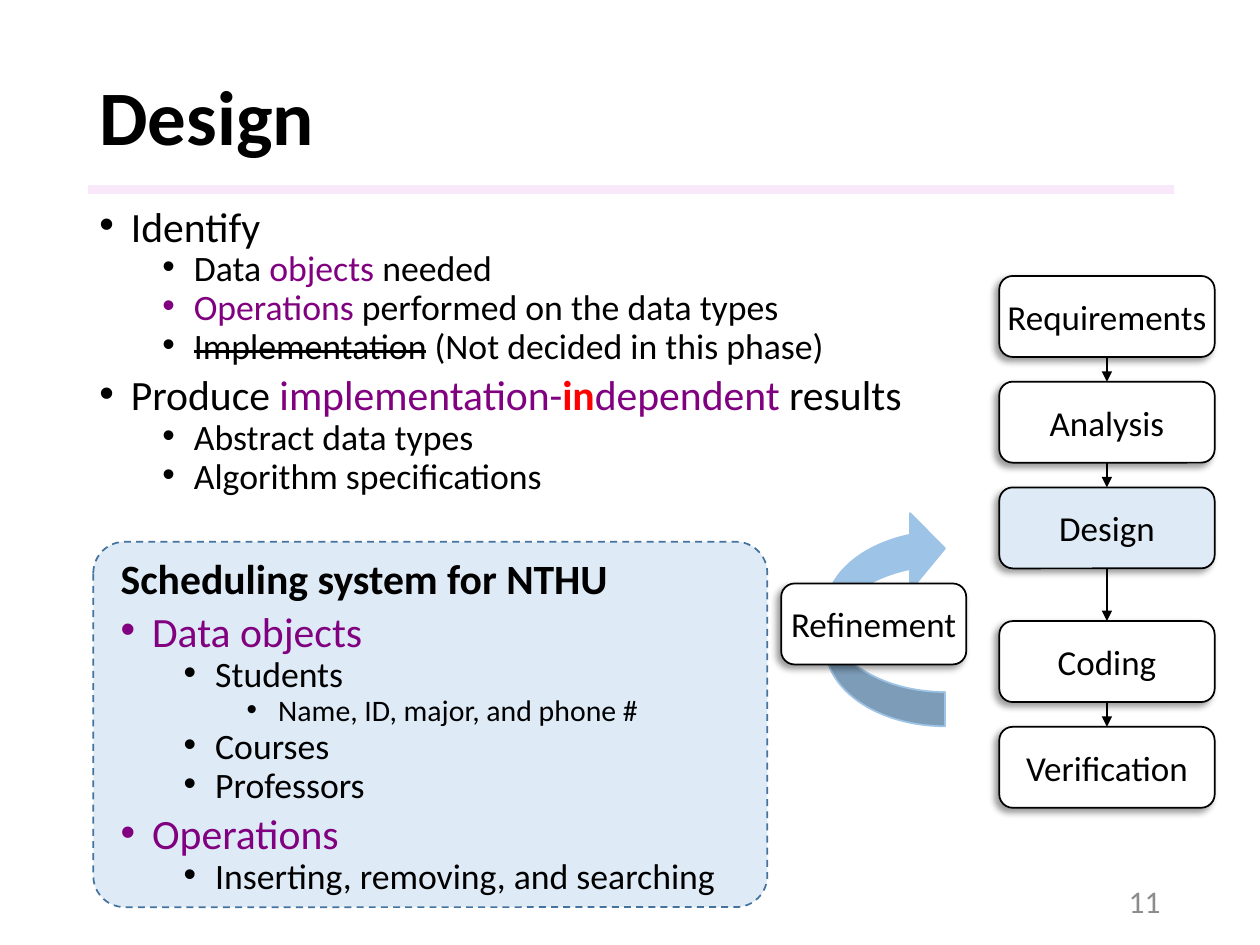
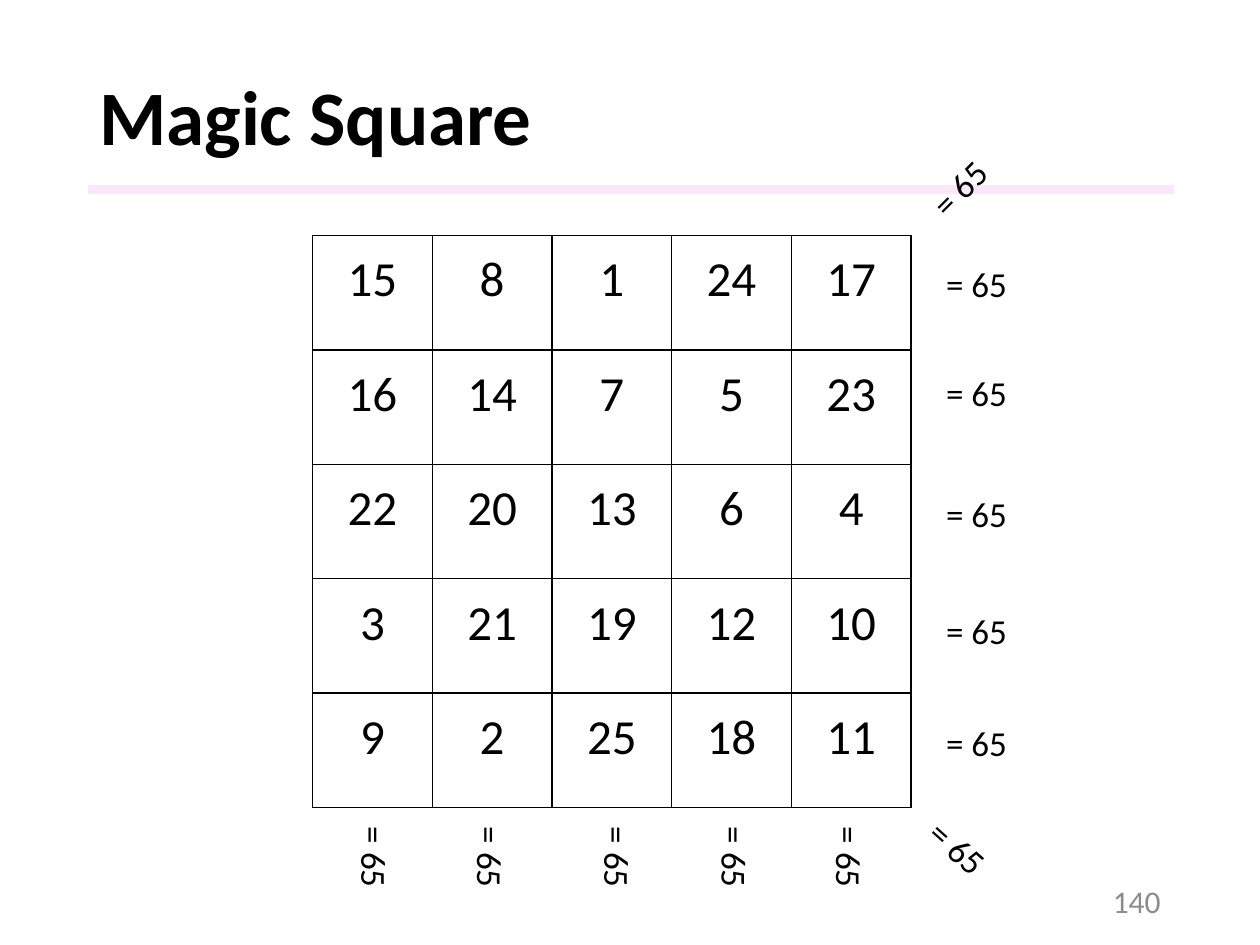
from dataclasses import dataclass

from lxml import etree
from pptx import Presentation
from pptx.dml.color import RGBColor
from pptx.enum.dml import MSO_LINE
from pptx.enum.shapes import MSO_CONNECTOR, MSO_SHAPE
from pptx.enum.text import MSO_ANCHOR, MSO_AUTO_SIZE, PP_ALIGN
from pptx.oxml.ns import qn
from pptx.util import Pt

RECTANGLE = MSO_SHAPE.RECTANGLE
ROUNDED = MSO_SHAPE.ROUNDED_RECTANGLE
CURVED_ARROW = MSO_SHAPE.CURVED_LEFT_ARROW
STRAIGHT = MSO_CONNECTOR.STRAIGHT
DASH = MSO_LINE.DASH
MIDDLE, TOP = MSO_ANCHOR.MIDDLE, MSO_ANCHOR.TOP
GROW = MSO_AUTO_SIZE.SHAPE_TO_FIT_TEXT
LEFT, CENTER, RIGHT = PP_ALIGN.LEFT, PP_ALIGN.CENTER, PP_ALIGN.RIGHT
BOTTOM_SIDE, TOP_SIDE = 2, 0


@dataclass(frozen=True)
class Theme:
    font: str = "Calibri"
    ink: str = "000000"
    accent: str = "800080"
    alert: str = "FF0000"
    muted: str = "8C8C8C"
    paper: str = "FFFFFF"
    band: str = "F3D2F4"
    panel: str = "DEEBF7"
    panel_edge: str = "43739E"
    arrow: str = "9DC3E6"
    title_size: float = 44
    number_size: float = 18
    label_size: float = 20
    cell_size: float = 28
    outline_sizes: tuple = (23.8, 20.4, 17)
    outline_gaps: tuple = (10, 5, 5)


THEME = Theme()
SPAN_STYLES = {
    "plain": {},
    "bold": {"bold": True},
    "accent": {"color": THEME.accent},
    "alert": {"color": THEME.alert, "bold": True},
    "struck": {"strike": True},
}

# Each paragraph: outline level (None for a heading without bullet), then spans.
DESIGN_STEPS = [
    (0, "Identify"),
    (1, "Data ", ("objects ", "accent"), "needed"),
    (1, ("Operations", "accent"), " performed on the data types"),
    (1, ("Implementation", "struck"), " (Not decided in this phase)"),
    (0, "Produce ", ("implementation-", "accent"), ("in", "alert"),
     ("dependent", "accent"), " results"),
    (1, "Abstract data types"),
    (1, "Algorithm specifications"),
]
SCHEDULING_EXAMPLE = [
    (None, ("Scheduling system for NTHU", "bold")),
    (0, ("Data objects", "accent")),
    (1, "Students"),
    (2, "Name, ID, major, and phone #"),
    (1, "Courses"),
    (1, "Professors"),
    (0, ("Operations", "accent")),
    (1, "Inserting, removing, and searching"),
]
PHASES = ["Requirements", "Analysis", "Design", "Coding", "Verification"]
MAGIC_SQUARE = [
    [15, 8, 1, 24, 17],
    [16, 14, 7, 5, 23],
    [22, 20, 13, 6, 4],
    [3, 21, 19, 12, 10],
    [9, 2, 25, 18, 11],
]
MAGIC_SUM = "= 65"
ROW_SUM_TOPS = [146.2, 208.8, 277.9, 344.9, 409]
COLUMN_SUM_LEFTS = [189.4, 255.6, 328.3, 395.3, 460.8]
DIAGONAL_SUMS = [(522.7, 468.7, 41.9), (523.4, 91.4, 315)]


def points(*lengths):
    return [Pt(length) for length in lengths]


def add_element(parent, tag, **attributes):
    return etree.SubElement(parent, qn(tag), attributes)


def add_span(para, text, size, color=THEME.ink, bold=False, strike=False):
    span = para.add_run()
    span.text = text
    formats = {"name": THEME.font, "size": Pt(size), "bold": bold}
    for name, value in formats.items():
        setattr(span.font, name, value)
    span.font.color.rgb = RGBColor.from_string(color)
    if strike:
        span.font._element.set("strike", "sngStrike")


def format_frame(frame, **formats):
    for name, value in formats.items():
        setattr(frame, name, value)


def add_label(page, place, text, size, align=LEFT, anchor=TOP, wrap=True,
              spacing=None, **span_formats):
    """Add a text box with one line of text."""
    box = page.shapes.add_textbox(*points(*place))
    format_frame(box.text_frame, word_wrap=wrap, vertical_anchor=anchor)
    para = box.text_frame.paragraphs[0]
    para.alignment = align
    para.line_spacing = spacing
    add_span(para, text, size, **span_formats)
    return box


def add_bullet(para, level):
    properties = para._p.get_or_add_pPr()
    properties.set("marL", str(Pt(18 + 36 * level)))
    properties.set("indent", str(Pt(-18)))
    add_element(properties, "a:buFont", typeface="Arial")
    add_element(properties, "a:buChar", char="•")


def add_outline(page, place, content):
    frame = page.shapes.add_textbox(*points(*place)).text_frame
    frame.word_wrap = True
    for index, (level, *spans) in enumerate(content):
        para = frame.add_paragraph() if index else frame.paragraphs[0]
        depth = level or 0
        if level is not None:
            add_bullet(para, level)
        para.level = depth
        para.line_spacing = 0.7
        para.space_before = Pt(THEME.outline_gaps[depth] if index else 0)
        for span in spans:
            text, style = (span, "plain") if isinstance(span, str) else span
            add_span(para, text, THEME.outline_sizes[depth], **SPAN_STYLES[style])


def add_figure(page, preset, place, fill, line=None, adjustments=()):
    shape = page.shapes.add_shape(preset, *points(*place))
    shape.shadow.inherit = False
    for index, value in enumerate(adjustments):
        shape.adjustments[index] = value
    shape.fill.solid()
    shape.fill.fore_color.rgb = RGBColor.from_string(fill)
    if line:
        shape.line.color.rgb = RGBColor.from_string(line)
        shape.line.width = Pt(1)
    else:
        shape.line.fill.background()
    return shape


def add_drop_shadow(shape):
    effects = shape._element.spPr.find(qn("a:effectLst"))
    shadow = add_element(effects, "a:outerShdw", blurRad=str(Pt(4)), dist=str(Pt(3)),
                         dir="8100000", algn="tr", rotWithShape="0")
    color = add_element(shadow, "a:srgbClr", val=THEME.ink)
    add_element(color, "a:alpha", val="40000")


def add_phase_box(page, place, text, fill=THEME.paper):
    box = add_figure(page, ROUNDED, place, fill, THEME.ink)
    add_drop_shadow(box)
    format_frame(box.text_frame, word_wrap=True, vertical_anchor=MIDDLE,
                 margin_left=0, margin_right=0)
    para = box.text_frame.paragraphs[0]
    para.alignment = CENTER
    add_span(para, text, THEME.label_size)
    return box


def add_arrow(page, upper, lower):
    arrow = page.shapes.add_connector(STRAIGHT, 0, 0, 0, 0)
    arrow.begin_connect(upper, BOTTOM_SIDE)
    arrow.end_connect(lower, TOP_SIDE)
    arrow.line.color.rgb = RGBColor.from_string(THEME.ink)
    arrow.line.width = Pt(1.5)
    add_element(arrow.line._get_or_add_ln(), "a:tailEnd", type="triangle")
    add_element(arrow._element.spPr, "a:effectLst")


def add_process(page):
    """Stack the phase boxes, with a wider gap after the design phase."""
    boxes = []
    for index, phase in enumerate(PHASES):
        top = 157.7 + 60.4 * index + (16 if index > 2 else 0)
        fill = THEME.panel if phase == "Design" else THEME.paper
        boxes.append(add_phase_box(page, (571, top, 123.1, 46.3), phase, fill))
    for upper, lower in zip(boxes, boxes[1:]):
        add_arrow(page, upper, lower)


def add_cell_borders(cell):
    properties = cell._tc.get_or_add_tcPr()
    for index, side in enumerate(("a:lnL", "a:lnR", "a:lnT", "a:lnB")):
        border = etree.Element(qn(side), w=str(Pt(1)))
        fill = add_element(border, "a:solidFill")
        add_element(fill, "a:srgbClr", val=THEME.ink)
        properties.insert(index, border)


def add_number_grid(page, place, numbers):
    shape = page.shapes.add_table(len(numbers), len(numbers[0]), *points(*place))
    table = shape.table
    table.first_row = table.horz_banding = False
    for row, values in zip(table.rows, numbers):
        for cell, value in zip(row.cells, values):
            cell.fill.background()
            add_cell_borders(cell)
            format_frame(cell, vertical_anchor=MIDDLE, margin_left=Pt(5),
                         margin_right=Pt(5), margin_top=0, margin_bottom=0)
            para = cell.text_frame.paragraphs[0]
            para.alignment = CENTER
            para.line_spacing = Pt(20)
            add_span(para, str(value), THEME.cell_size)


def add_sum(page, left, top, rotation=0):
    label = add_label(page, (left, top, 49.7, 31.5), MAGIC_SUM, THEME.label_size,
                      wrap=False)
    label.text_frame.auto_size = GROW
    label.rotation = rotation


def add_page(deck, title, number):
    """Add a blank slide with the shared band, title and slide number."""
    page = deck.slides.add_slide(deck.slide_layouts[6])
    band = add_figure(page, RECTANGLE, (50.4, 105.8, 620.6, 5), THEME.band)
    color = band._element.spPr.find(f"{qn('a:solidFill')}/{qn('a:srgbClr')}")
    add_element(color, "a:alpha", val="50000")
    add_label(page, (49.7, 28.8, 620.6, 80), title, THEME.title_size,
              anchor=MIDDLE, spacing=0.9, bold=True)
    add_label(page, (508.3, 500.4, 162, 28.8), str(number), THEME.number_size,
              align=RIGHT, anchor=MIDDLE, color=THEME.muted)
    return page


def build_design_page(deck):
    page = add_page(deck, "Design", 11)
    panel = add_figure(page, ROUNDED, (53.3, 309.6, 385.2, 208.8), THEME.panel,
                       THEME.panel_edge, [0.086])
    panel.line.dash_style = DASH
    add_outline(page, (49.7, 118.8, 620.6, 184.3), DESIGN_STEPS)
    add_outline(page, (61.9, 320.4, 364.3, 199.4), SCHEDULING_EXAMPLE)
    loop = add_figure(page, CURVED_ARROW, (471.6, 291.2, 68.4, 123.8), THEME.arrow,
                      THEME.arrow, [0.286, 0.648, 0.292])
    loop.rotation = 180
    add_phase_box(page, (446.4, 333.4, 105.8, 46.3), "Refinement")
    add_process(page)


def build_magic_square_page(deck):
    page = add_page(deck, "Magic Square", 140)
    add_number_grid(page, (178.6, 134.6, 342, 326.9), MAGIC_SQUARE)
    for top in ROW_SUM_TOPS:
        add_sum(page, 533.5, top)
    for left in COLUMN_SUM_LEFTS:
        add_sum(page, left, 474.5, 90)
    for left, top, rotation in DIAGONAL_SUMS:
        add_sum(page, left, top, rotation)


def main():
    deck = Presentation()
    deck.slide_width, deck.slide_height = points(720, 540)
    build_design_page(deck)
    build_magic_square_page(deck)
    deck.save("out.pptx")


if __name__ == "__main__":
    main()
